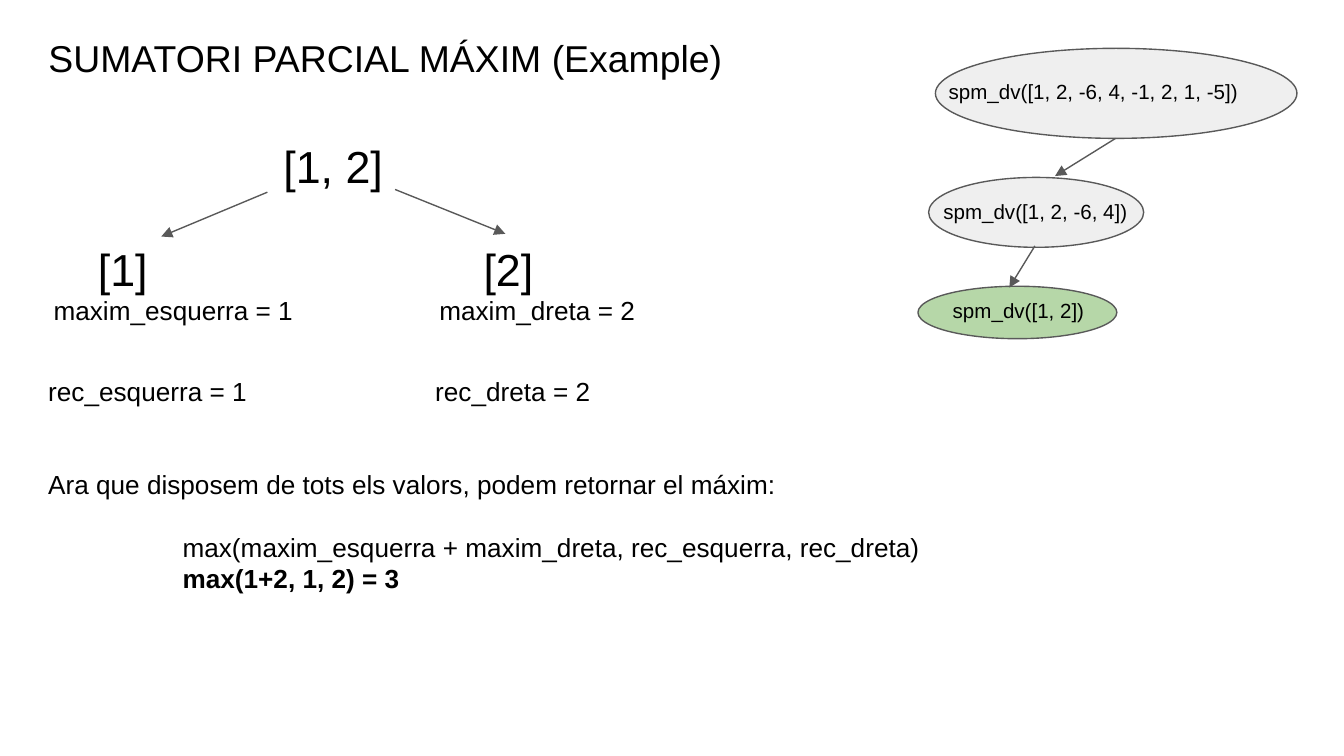
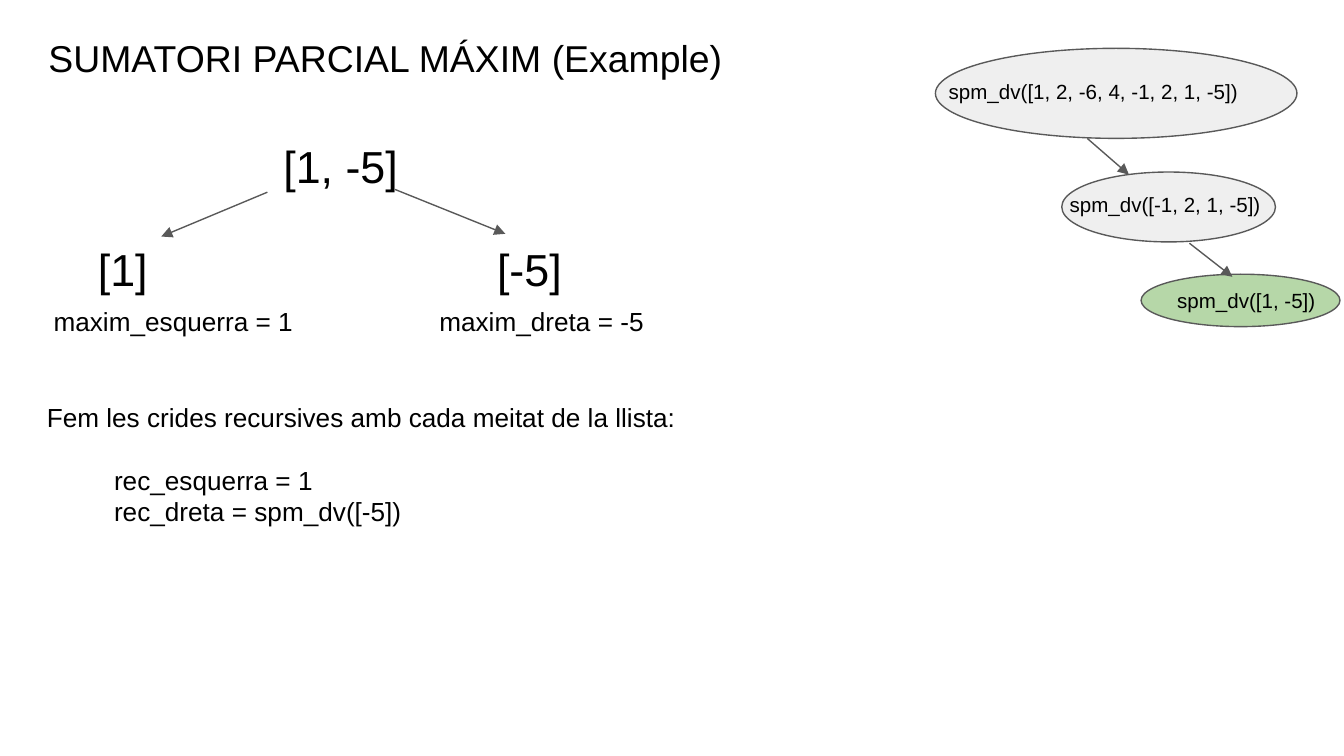
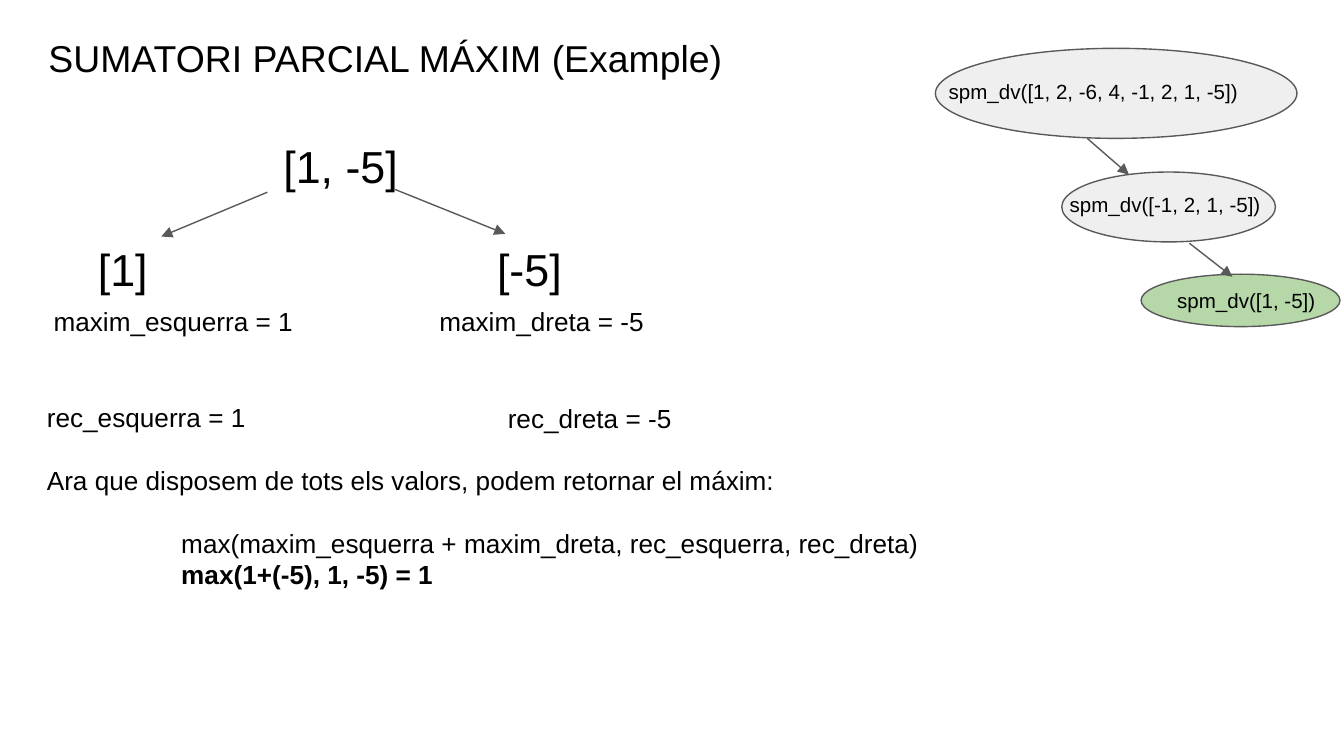
from collections import namedtuple

from lxml import etree
from pptx import Presentation
from pptx.dml.color import RGBColor
from pptx.enum import shapes, text
from pptx.oxml import ns
from pptx.util import Inches, Pt

COLORS = {"ink": "000000", "line": "595959", "node": "EFEFEF", "active": "B6D7A8"}
FONT = "Arial"
TITLE = "SUMATORI PARCIAL MÁXIM (Example)"
SLIDE_WIDTH = 10
SLIDE_HEIGHT = SLIDE_WIDTH * 9 / 16
INSET = 0.1
BLANK_LINE = 16.7
TREE_BOX = (6.83, 0.36)
SPLIT_BOX = (0.26, 0.93)
LABEL_WIDTH = 2.81

Line = namedtuple("Line", "text indent before bold", defaults=(0, 0, False))
Node = namedtuple("Node", "call oval label fill", defaults=("node",))

ROOT = Node("spm_dv([1, 2, -6, 4, -1, 2, 1, -5])", (0.13, 0, 2.69, 0.67), (0.13, 0.13))
LEFT_TREE = {
    "nodes": [
        ROOT,
        Node("spm_dv([1, 2, -6, 4])", (0.08, 0.96, 1.6, 0.52), (0.09, 1.02)),
        Node("spm_dv([1, 2])", (0, 1.77, 1.48, 0.39), (0.16, 1.76), "active"),
    ],
    "arrows": [(1.47, 0.67, 1.02, 0.95), (0.87, 1.47, 0.68, 1.78)],
}
RIGHT_TREE = {
    "nodes": [
        ROOT,
        Node("spm_dv([-1, 2, 1, -5])", (1.07, 0.92, 1.59, 0.52), (1.03, 0.97)),
        Node("spm_dv([1, -5])", (1.66, 1.68, 1.48, 0.39), (1.83, 1.68), "active"),
    ],
    "arrows": [(1.26, 0.67, 1.57, 0.94), (2.02, 1.45, 2.34, 1.7)],
}


def color(name):
    return RGBColor.from_string(COLORS[name])


def write_text(shape, lines, size):
    frame = shape.text_frame
    frame.word_wrap = True
    frame.auto_size = text.MSO_AUTO_SIZE.NONE
    frame.vertical_anchor = text.MSO_ANCHOR.TOP
    frame.margin_left = frame.margin_right = Inches(INSET)
    frame.margin_top = frame.margin_bottom = Inches(INSET)
    for index, line in enumerate(lines):
        paragraph = frame.add_paragraph() if index else frame.paragraphs[0]
        properties = paragraph._p.get_or_add_pPr()
        properties.set("marL", str(Inches(line.indent)))
        properties.set("indent", "0")
        paragraph.alignment = text.PP_ALIGN.LEFT
        paragraph.space_before = Pt(line.before)
        run = paragraph.add_run()
        run.text = line.text
        run.font.name = FONT
        run.font.size = Pt(size)
        run.font.bold = line.bold
        run.font.color.rgb = color("ink")


def add_text(slide, left, top, width, height, *lines, size=14):
    shape = slide.shapes.add_textbox(Inches(left), Inches(top), Inches(width), Inches(height))
    write_text(shape, lines, size)


def add_arrow(slide, left, top, ends):
    x1, y1, x2, y2 = ends
    arrow = slide.shapes.add_connector(
        shapes.MSO_CONNECTOR.STRAIGHT,
        Inches(left + x1), Inches(top + y1), Inches(left + x2), Inches(top + y2))
    arrow.line.color.rgb = color("line")
    arrow.line.width = Pt(0.75)
    etree.SubElement(arrow.line._get_or_add_ln(), ns.qn("a:tailEnd"), type="triangle")
    etree.SubElement(arrow._element.spPr, ns.qn("a:effectLst"))


def add_title(slide):
    title = slide.shapes.title
    title.left, title.top = Inches(0.26), Inches(0.16)
    title.width, title.height = Inches(8.32), Inches(0.52)
    write_text(title, [Line(TITLE)], 20)


def add_split(slide, left, top, whole, right_half, right_offset, right_max, max_top):
    add_text(slide, left + 1.38, top, 2.12, 0.52, Line(whole, indent=0.37), size=24)
    for half, offset in (("[1]", 0.37), (right_half, right_offset)):
        add_text(slide, left + offset, top + 0.77, 1.5, 0.52, Line(half), size=24)
    add_text(slide, left + 0.04, top + max_top, 2.62, 1.72, Line("maxim_esquerra = 1"))
    add_text(slide, left + 2.91, top + max_top, 2.62, 1.41, Line(f"maxim_dreta = {right_max}"))
    for ends in ((1.73, 0.5, 0.94, 0.83), (2.68, 0.48, 3.5, 0.81)):
        add_arrow(slide, left, top, ends)


def add_call_tree(slide, left, top, nodes, arrows):
    for node in nodes:
        x, y, width, height = node.oval
        oval = slide.shapes.add_shape(
            shapes.MSO_SHAPE.OVAL,
            Inches(left + x), Inches(top + y), Inches(width), Inches(height))
        oval.shadow.inherit = False
        oval.fill.solid()
        oval.fill.fore_color.rgb = color(node.fill)
        oval.line.color.rgb = color("line")
        oval.line.width = Pt(0.75)
        label_left = left + node.label[0]
        add_text(slide, label_left, top + node.label[1],
                 min(LABEL_WIDTH, SLIDE_WIDTH - label_left), 0.33, Line(node.call), size=11)
    for ends in arrows:
        add_arrow(slide, left, top, ends)


def add_recursive_calls(slide, left, top):
    add_text(slide, left, top, 5.09, 1,
             Line("Fem les crides recursives amb cada meitat de la llista:"),
             Line("rec_esquerra = 1", indent=0.5, before=BLANK_LINE),
             Line("rec_dreta = spm_dv([-5])", indent=0.5))


def add_result(slide, left, top, height, right_value, right_offset, blank_lines, maximum):
    add_text(slide, left, top, 7.25, height,
             Line("rec_esquerra = 1"),
             Line("Ara que disposem de tots els valors, podem retornar el máxim:",
                  before=blank_lines * BLANK_LINE),
             Line("max(maxim_esquerra + maxim_dreta, rec_esquerra, rec_dreta)",
                  indent=1, before=BLANK_LINE),
             Line(maximum, indent=1, bold=True))
    add_text(slide, left + right_offset, top, 2, 0.42, Line(f"rec_dreta = {right_value}"))


def add_example(presentation, split, tree):
    slide = presentation.slides.add_slide(presentation.slide_layouts[5])
    add_title(slide)
    add_split(slide, *SPLIT_BOX, *split)
    add_call_tree(slide, *TREE_BOX, **tree)
    return slide


def main():
    presentation = Presentation()
    presentation.slide_width = Inches(SLIDE_WIDTH)
    presentation.slide_height = Inches(SLIDE_HEIGHT)
    positive_split = ("[1, 2]", "[2]", 3.24, 2, 1.16)
    negative_split = ("[1, -5]", "[-5]", 3.34, -5, 1.24)

    slide = add_example(presentation, positive_split, LEFT_TREE)
    add_result(slide, 0.26, 2.69, 2.67, 2, 2.88, 2, "max(1+2, 1, 2) = 3")
    slide = add_example(presentation, negative_split, RIGHT_TREE)
    add_recursive_calls(slide, 0.25, 2.89)
    slide = add_example(presentation, negative_split, RIGHT_TREE)
    add_result(slide, 0.25, 2.89, 1.7, -5, 3.43, 1, "max(1+(-5), 1, -5) = 1")

    presentation.save("out.pptx")


if __name__ == "__main__":
    main()
